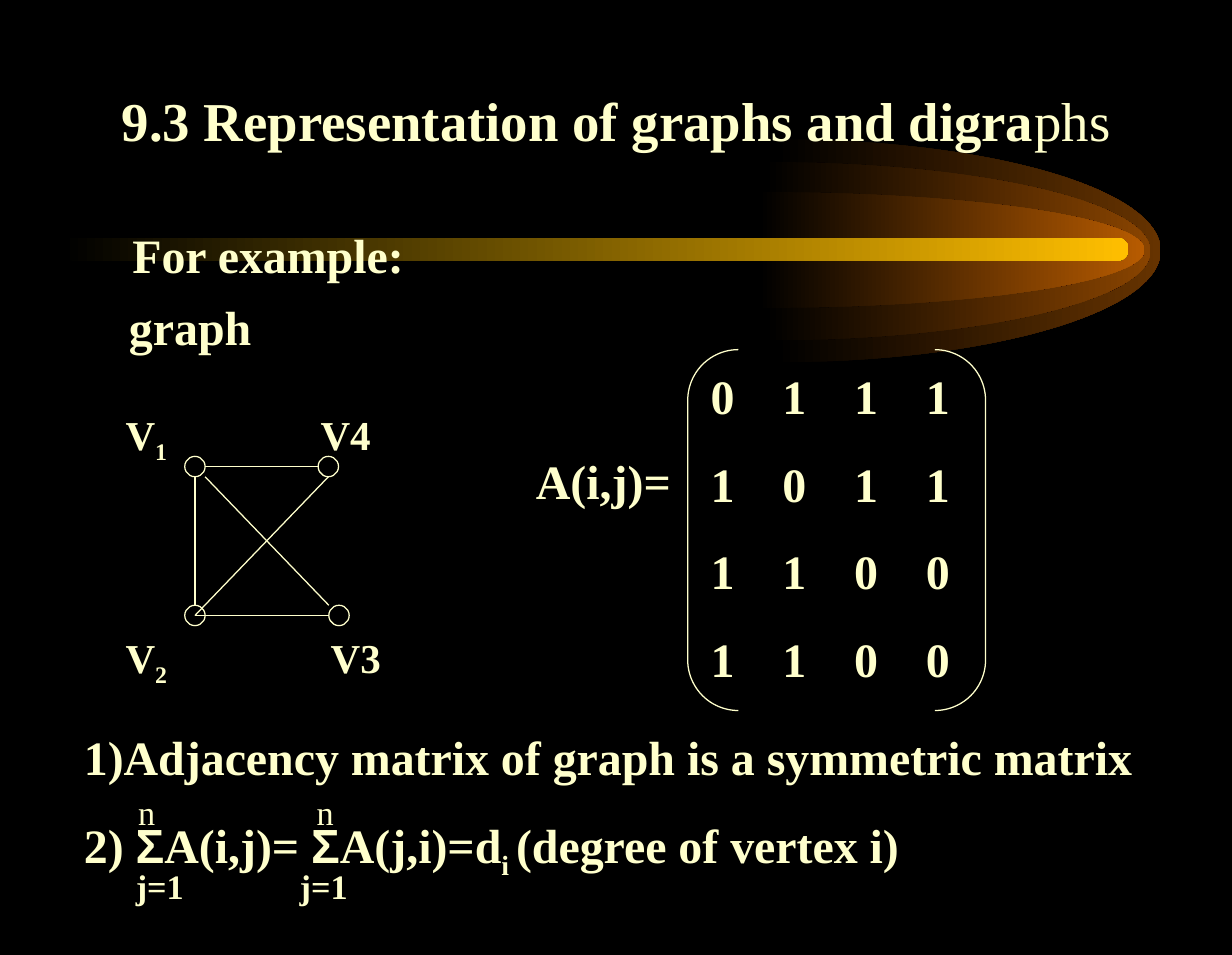
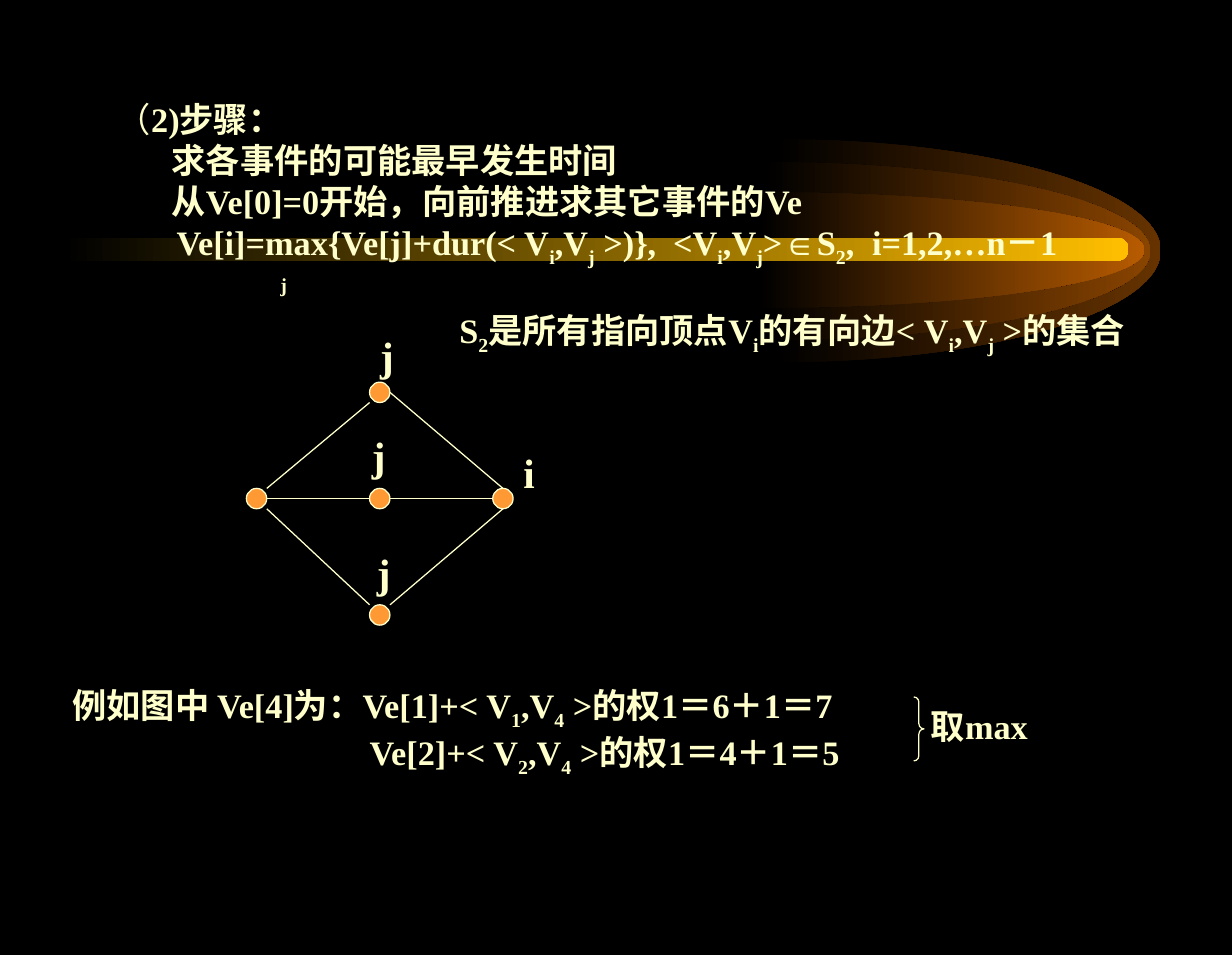
import math
from itertools import groupby

from lxml import etree
from pptx import Presentation
from pptx.dml.color import RGBColor
from pptx.enum.shapes import MSO_CONNECTOR, MSO_SHAPE
from pptx.enum.text import MSO_ANCHOR, PP_ALIGN
from pptx.oxml.ns import qn
from pptx.util import Cm, Pt

BLACK = RGBColor(0x00, 0x00, 0x00)
CREAM = RGBColor(0xFF, 0xFF, 0xCC)
ORANGE = RGBColor(0xFF, 0x99, 0x33)
GOLD = RGBColor(0xFF, 0xBF, 0x00)
DARK_BROWN = RGBColor(0x66, 0x33, 0x00)
BROWN = RGBColor(0x89, 0x44, 0x00)
AMBER = RGBColor(0xB7, 0x5B, 0x00)

ELLIPSE = MSO_SHAPE.OVAL
BAR = MSO_SHAPE.ROUNDED_RECTANGLE
BRACKETS = MSO_SHAPE.DOUBLE_BRACKET
BRACE = MSO_SHAPE.RIGHT_BRACE
STRAIGHT = MSO_CONNECTOR.STRAIGHT
TOP, BOTTOM = MSO_ANCHOR.TOP, MSO_ANCHOR.BOTTOM
LEFT, CENTER = PP_ALIGN.LEFT, PP_ALIGN.CENTER

TEXT_FONT = "Times New Roman"
SYMBOL_FONT = "Arial"
SYMBOLS = "Σ∈"
LINE_WIDTH = Pt(0.75)
NODE_SIZE = 0.42
BLANK_LAYOUT = 6
ARC_HANDLE = 4 / 3 * (math.sqrt(2) - 1)

COMET_TAILS = [
    (15.98, 2.87, 7.95, 4.6, DARK_BROWN),
    (15.77, 3.34, 7.95, 3.68, BROWN),
    (15.65, 3.96, 7.95, 2.39, AMBER),
]


def set_outline(shape, fill=None):
    shape.shadow.inherit = False
    if fill is None:
        shape.fill.background()
    else:
        shape.fill.solid()
        shape.fill.fore_color.rgb = fill
    shape.line.color.rgb = CREAM
    shape.line.width = LINE_WIDTH


def set_glow(shape, color):
    shape.shadow.inherit = False
    shape.line.fill.background()
    shape.fill.gradient()
    shape.fill.gradient_angle = 0
    for stop, stop_color, position in zip(shape.fill.gradient_stops, (BLACK, color), (0, 1)):
        stop.color.rgb = stop_color
        stop.position = position


def add_outlined(slide, kind, left, top, width, height, fill=None):
    shape = slide.shapes.add_shape(kind, Cm(left), Cm(top), Cm(width), Cm(height))
    set_outline(shape, fill)
    return shape


def add_line(slide, start, end):
    line = slide.shapes.add_connector(STRAIGHT, *map(Cm, start + end))
    line.line.color.rgb = CREAM
    line.line.width = LINE_WIDTH
    etree.SubElement(line._element.spPr, qn("a:effectLst"))


def add_runs(paragraph, text, raised):
    for index, piece in enumerate(text.split("|")):
        for is_symbol, letters in groupby(piece, key=lambda letter: letter in SYMBOLS):
            run = paragraph.add_run()
            run.text = "".join(letters)
            if is_symbol:
                run.font.name = SYMBOL_FONT
            baseline = 30000 if raised else -25000 if index % 2 else 0
            if baseline:
                run._r.get_or_add_rPr().set("baseline", str(baseline))


def write_paragraph(paragraph, text, size, bold=True, indent=0, tabs=(), raised=False):
    properties = paragraph._p.get_or_add_pPr()
    if indent:
        properties.set("marL", str(Cm(indent)))
        properties.set("indent", "0")
    if tabs:
        tab_list = etree.SubElement(properties, qn("a:tabLst"))
        for position in tabs:
            etree.SubElement(tab_list, qn("a:tab"), pos=str(Cm(position)), algn="l")
    font = paragraph.font
    font.name = TEXT_FONT
    font.size = Pt(size)
    font.bold = bold
    font.color.rgb = CREAM
    add_runs(paragraph, text, raised)


def add_text(slide, left, top, width, height, lines, size, bold=True,
             space=0, align=LEFT, anchor=TOP):
    box = slide.shapes.add_textbox(Cm(left), Cm(top), Cm(width), Cm(height))
    frame = box.text_frame
    frame.word_wrap = True
    frame.vertical_anchor = anchor
    for index, (text, options) in enumerate(lines):
        paragraph = frame.add_paragraph() if index else frame.paragraphs[0]
        paragraph.alignment = align
        if index and space:
            paragraph.space_before = Pt(space)
        write_paragraph(paragraph, text, size, bold, **options)
    return frame


def add_label(slide, left, top, width, text, size, bold=True):
    add_text(slide, left, top, width, size * 0.053, [(text, {})], size, bold)


def round_off(shape):
    corners = list(shape._element.iter(qn("a:lnTo")))
    for first in range(0, len(corners), 3):
        curve = etree.Element(qn("a:cubicBezTo"))
        corners[first].addprevious(curve)
        for corner in corners[first:first + 3]:
            curve.append(corner[0])
            corner.getparent().remove(corner)


def draw_tail(slide, left, top, width, height, color):
    radius = height / 2
    middle = top + radius
    reach = left + width * ARC_HANDLE
    rise = radius * ARC_HANDLE
    right, bottom = left + width, top + height
    controls = [
        (reach, top), (right, middle - rise), (right, middle),
        (right, middle + rise), (reach, bottom), (left, bottom),
    ]
    builder = slide.shapes.build_freeform(Cm(left), Cm(top), scale=1.0)
    builder.add_line_segments([(Cm(x), Cm(y)) for x, y in controls], close=True)
    tail = builder.convert_to_shape()
    round_off(tail)
    set_glow(tail, color)


def add_comet_slide(presentation):
    slide = presentation.slides.add_slide(presentation.slide_layouts[BLANK_LAYOUT])
    slide.background.fill.solid()
    slide.background.fill.fore_color.rgb = BLACK
    for tail in COMET_TAILS:
        draw_tail(slide, *tail)
    bar = slide.shapes.add_shape(BAR, Cm(1.27), Cm(4.9), Cm(22), Cm(0.48))
    bar.adjustments[0] = 0.5
    set_glow(bar, GOLD)
    return slide


def draw_graph(slide, left, top, nodes, edges, labels, fill=None):
    def anchor(name, across, down):
        x, y = nodes[name]
        return left + x + across * NODE_SIZE, top + y + down * NODE_SIZE

    for x, y in nodes.values():
        add_outlined(slide, ELLIPSE, left + x, top + y, NODE_SIZE, NODE_SIZE, fill)
    for start, end in edges:
        add_line(slide, anchor(*start), anchor(*end))
    for text, x, y in labels:
        add_label(slide, left + x, top + y, 2.1, text, 24)


def draw_vertex_graph(slide, left, top):
    nodes = {"v1": (1.47, 1.1), "v2": (1.47, 4.17), "v3": (4.44, 4.17), "v4": (4.22, 1.1)}
    edges = [
        (("v1", 1, 0.5), ("v4", 0, 0.5)),
        (("v1", 0.5, 1), ("v2", 0.5, 0)),
        (("v1", 1, 1), ("v3", 0, 0)),
        (("v4", 0.5, 1), ("v2", 0.5, 0.5)),
        (("v2", 0.5, 0.5), ("v3", 0, 0.5)),
    ]
    labels = [("V|1|", 0, 0), ("V|2|", 0, 4.6), ("V3", 4.23, 4.6), ("V4", 4.02, 0)]
    draw_graph(slide, left, top, nodes, edges, labels)


def draw_event_graph(slide, left, top):
    nodes = {
        "start": (0, 3.39),
        "upper": (2.54, 1.2),
        "middle": (2.54, 3.39),
        "lower": (2.54, 5.79),
        "end": (5.08, 3.39),
    }
    edges = [
        (("start", 1, 0.5), ("middle", 0, 0.5)),
        (("middle", 1, 0.5), ("end", 0, 0.5)),
        (("start", 1, 0), ("upper", 0, 1)),
        (("upper", 1, 0.5), ("end", 0.5, 0)),
        (("start", 1, 1), ("lower", 0, 0)),
        (("lower", 1, 0), ("end", 0.5, 1)),
    ]
    labels = [("j", 2.51, 0), ("j", 2.34, 2.06), ("j", 2.44, 4.48), ("i", 5.46, 2.42)]
    draw_graph(slide, left, top, nodes, edges, labels, ORANGE)


def draw_matrix(slide, left, top):
    rows = ["0111", "1011", "1100", "1100"]
    column_pitch = 1.48
    tabs = [column_pitch * column for column in range(1, 4)]
    add_label(slide, left, top + 1.98, 4.24, "A(i,j)=", 28)
    brackets = add_outlined(slide, BRACKETS, left + 3.38, top, 6.14, 7.44)
    brackets.adjustments[0] = 0.17
    lines = [("\t".join(row), {"tabs": tabs}) for row in rows]
    add_text(slide, left + 3.6, top + 0.23, 6.35, 6.86, lines, 28, space=17.5)


def draw_properties(slide, left, top):
    lines = [
        ("1)Adjacency matrix of graph is a symmetric matrix", {}),
        ("2) ΣA(i,j)= ΣA(j,i)=d|i |(degree of vertex i)", {}),
    ]
    add_text(slide, left, top, 23.06, 3.4, lines, 28, space=17.5)
    for upper_left, lower_left in ((1.12, 1.07), (4.8, 4.45)):
        add_label(slide, left + upper_left, top + 1.3, 1.07, "n", 20, bold=False)
        add_label(slide, left + lower_left, top + 2.84, 1.9, "j=1", 20)


def draw_steps(slide, left, top):
    lines = [
        ("（", {}),
        ("求各事件的可能最早发生时间", {"indent": 1.13}),
        ("从Ve[0]=0开始，向前推进求其它事件的Ve", {"indent": 1.13}),
        ("\tVe[i]=max{Ve[j]+dur(< V|i|,V|j| >)},\t<V|i|,V|j|>∈S|2|,\ti=1,2,…n－1",
         {"tabs": (1.23, 11.47, 15.57)}),
        ("j", {"indent": 3.37, "raised": True}),
        ("S|2|是所有指向顶点V|i|的有向边< V|i|,V|j| >的集合", {"indent": 7.06}),
    ]
    frame = add_text(slide, left, top, 23.1, 5.56, lines, 20)
    heading = frame.paragraphs[0]
    heading.runs[0].font.bold = False
    heading.add_run().text = "2)步骤："


def draw_example(slide, left, top):
    lines = [
        ("例如图中 Ve[4]为：Ve[1]+< V|1|,V|4| >的权1＝6＋1＝7", {}),
        ("Ve[2]+< V|2|,V|4| >的权1＝4＋1＝5", {"indent": 6.13}),
    ]
    add_text(slide, left, top, 19, 2.18, lines, 20)
    brace = add_outlined(slide, BRACE, left + 17.6, top + 0.38, 0.21, 1.32)
    brace.adjustments[0] = 0.52
    add_label(slide, left + 17.7, top + 0.43, 3.2, "取max", 20)


def build_matrix_slide(presentation):
    slide = add_comet_slide(presentation)
    title = add_text(slide, 1.91, 1.09, 21.59, 2.18,
                     [("9.3 Representation of graphs and digra", {})], 32,
                     align=CENTER, anchor=BOTTOM)
    ending = title.paragraphs[0].add_run()
    ending.text = "phs"
    ending.font.bold = False
    add_text(slide, 1.91, 4.52, 21.59, 3,
             [("For example:", {"indent": 0.57}), ("graph", {"indent": 0.5})], 28, space=8.5)
    draw_vertex_graph(slide, 2.34, 8.31)
    draw_matrix(slide, 10.8, 7.21)
    draw_properties(slide, 1.48, 14.88)


def build_events_slide(presentation):
    slide = add_comet_slide(presentation)
    draw_example(slide, 1.24, 13.99)
    draw_event_graph(slide, 5.08, 6.68)
    draw_steps(slide, 2.16, 1.9)


def main():
    presentation = Presentation()
    presentation.slide_width = Cm(25.4)
    presentation.slide_height = Cm(19.69)
    build_matrix_slide(presentation)
    build_events_slide(presentation)
    presentation.save("out.pptx")


if __name__ == "__main__":
    main()
